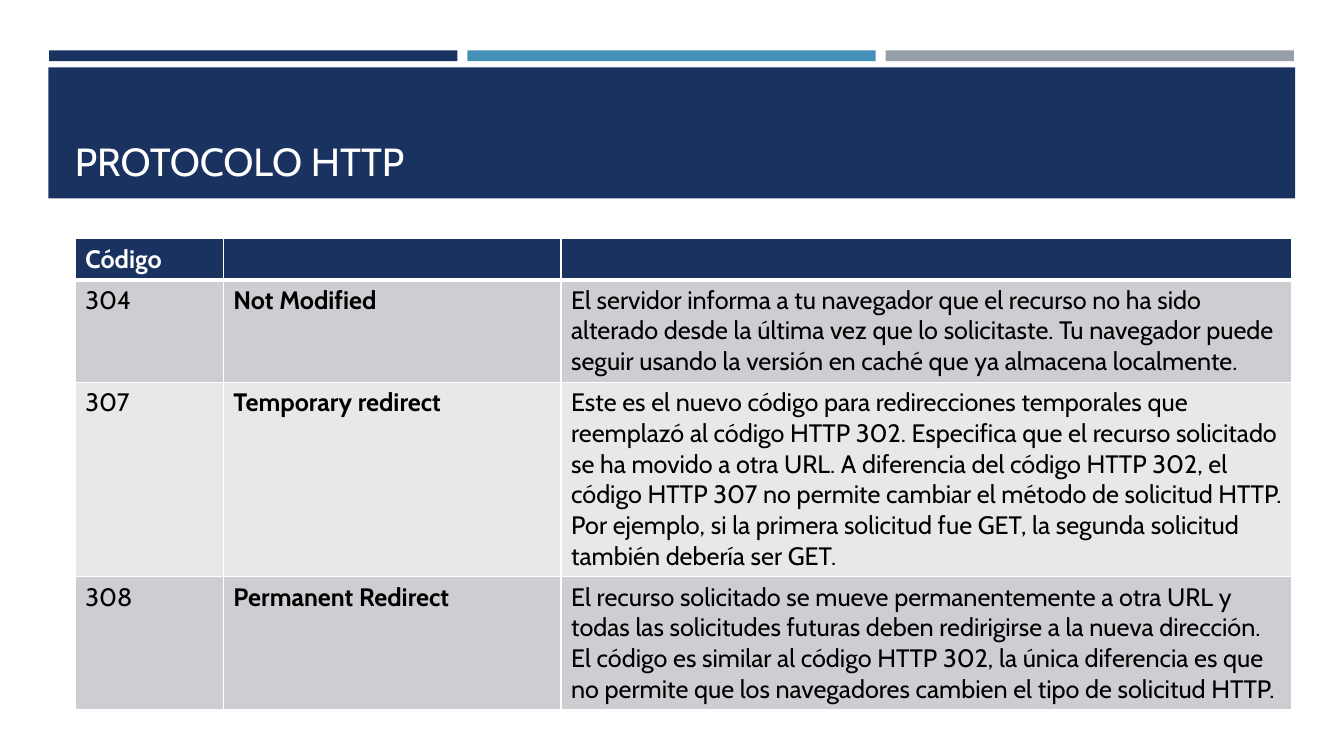
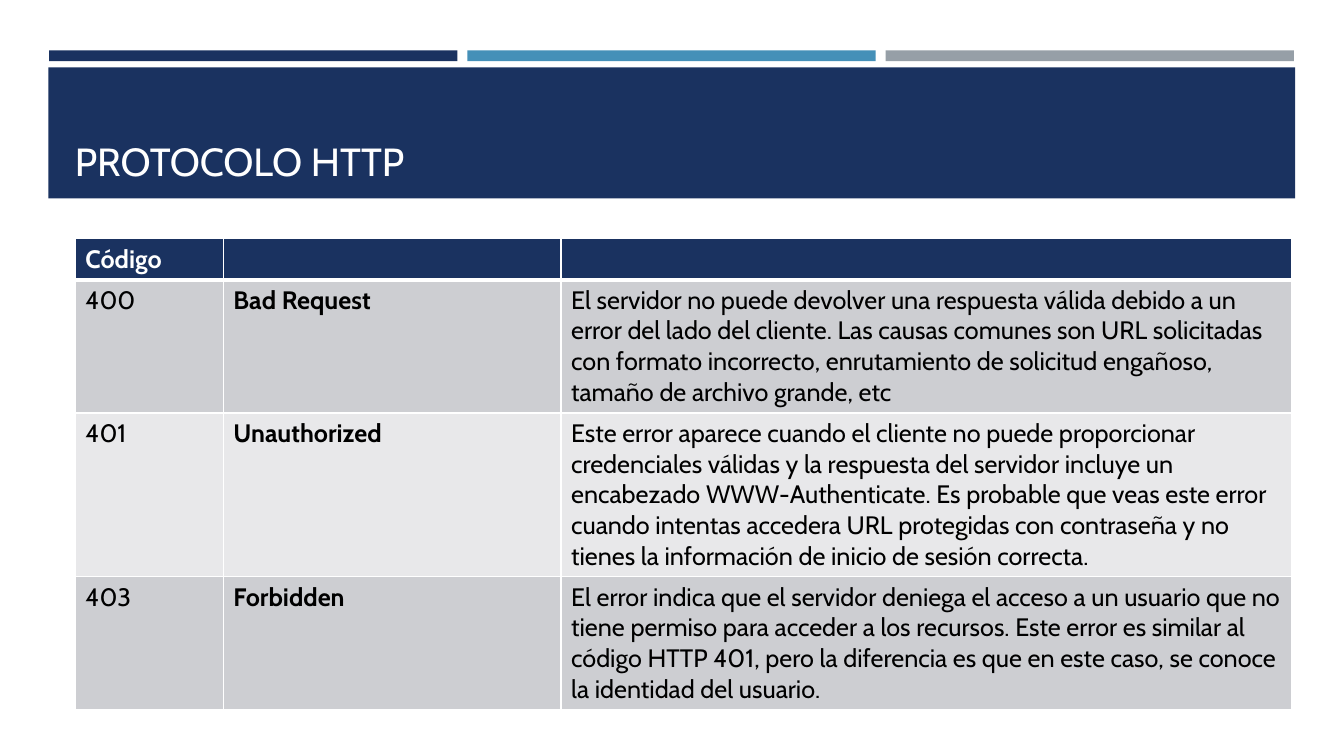
from lxml import etree
from pptx import Presentation
from pptx.dml.color import RGBColor
from pptx.enum import shapes, text
from pptx.oxml import ns
from pptx.util import Cm, Pt

TITLE = "PROTOCOLO HTTP"
HEADER = ("Código", "", "")
SLIDES = [
    [
        ("304", "Not Modified",
         "El servidor informa a tu navegador que el recurso no ha sido alterado desde la "
         "última vez que lo solicitaste. Tu navegador puede seguir usando la versión en "
         "caché que ya almacena localmente."),
        ("307", "Temporary redirect",
         "Este es el nuevo código para redirecciones temporales que reemplazó al código "
         "HTTP 302. Especifica que el recurso solicitado se ha movido a otra URL. A "
         "diferencia del código HTTP 302, el código HTTP 307 no permite cambiar el método "
         "de solicitud HTTP. Por ejemplo, si la primera solicitud fue GET, la segunda "
         "solicitud también debería ser GET."),
        ("308", "Permanent Redirect",
         "El recurso solicitado se mueve permanentemente a otra URL y todas las solicitudes "
         "futuras deben redirigirse a la nueva dirección. El código es similar al código "
         "HTTP 302, la única diferencia es que no permite que los navegadores cambien el "
         "tipo de solicitud HTTP."),
    ],
    [
        ("400", "Bad Request",
         "El servidor no puede devolver una respuesta válida debido a un error del lado del "
         "cliente. Las causas comunes son URL solicitadas con formato incorrecto, "
         "enrutamiento de solicitud engañoso, tamaño de archivo grande, etc"),
        ("401", "Unauthorized",
         "Este error aparece cuando el cliente no puede proporcionar credenciales válidas y "
         "la respuesta del servidor incluye un encabezado WWW-Authenticate. Es probable que "
         "veas este error cuando intentas accedera URL protegidas con contraseña y no "
         "tienes la información de inicio de sesión correcta."),
        ("403", "Forbidden",
         "El error indica que el servidor deniega el acceso a un usuario que no tiene "
         "permiso para acceder a los recursos. Este error es similar al código HTTP 401, "
         "pero la diferencia es que en este caso, se conoce la identidad del usuario."),
    ],
]

NAVY = RGBColor(0x1A, 0x32, 0x60)
BLUE = RGBColor(0x45, 0x90, 0xB8)
GREY = RGBColor(0x96, 0x9F, 0xA7)
DARK_ROW = RGBColor(0xCD, 0xCE, 0xD2)
LIGHT_ROW = RGBColor(0xE8, 0xE8, 0xEA)
WHITE = RGBColor(0xFF, 0xFF, 0xFF)
BLACK = RGBColor(0, 0, 0)

FONT = "Cabin"
STRIPE_W, STRIPE_PITCH = 10.29, 10.54
BANDS = [(1.24 + i * STRIPE_PITCH, 1.27, STRIPE_W, 0.27, color)
         for i, color in enumerate((NAVY, BLUE, GREY))]
BANDS.append((1.22, 1.7, 31.42, 3.3, NAVY))
TITLE_BOX = dict(left=Cm(1.63), top=Cm(1.96), width=Cm(30.63), height=Cm(2.82))
TITLE_FRAME = dict(vertical_anchor=text.MSO_ANCHOR.BOTTOM, word_wrap=True,
                   auto_size=text.MSO_AUTO_SIZE.NONE)
TABLE_BOX = (Cm(1.9), Cm(6.02), Cm(30.66), Cm(11.71))
COL_WIDTHS = (3.73, 8.51, 18.42)
ROW_HEIGHT = Cm(1.03)


def set_attrs(obj, values):
    for name, value in values.items():
        setattr(obj, name, value)


def write(tf, content, size, color, bold=False):
    p = tf.paragraphs[0]
    p.alignment = text.PP_ALIGN.LEFT
    r = p.add_run()
    r.text = content
    set_attrs(r.font, dict(name=FONT, size=Pt(size), bold=bold))
    r.font.color.rgb = color


def build_layout(layout, s):
    for i, (x, y, w, h, color) in enumerate(BANDS):
        sp = s.shapes.add_shape(shapes.MSO_SHAPE.RECTANGLE, Cm(x), Cm(y), Cm(w), Cm(h))
        sp.shadow.inherit = False
        sp.fill.solid()
        sp.fill.fore_color.rgb = color
        sp.line.fill.background()
        layout.shapes.element.insert(2 + i, sp.element)
    set_attrs(layout.placeholders[0], TITLE_BOX)


def set_borders(cell, **widths):
    tc_pr = cell._tc.get_or_add_tcPr()
    for side in "LRTB":
        ln = etree.SubElement(tc_pr, ns.qn("a:ln" + side), w=str(Pt(widths.get(side, 1))))
        fill = etree.SubElement(ln, ns.qn("a:solidFill"))
        etree.SubElement(fill, ns.qn("a:srgbClr"), val=str(WHITE))


def add_codes(s, rows):
    data = [HEADER, *rows]
    frame = s.shapes.add_table(len(data), len(HEADER), *TABLE_BOX)
    table = frame.table
    for column, width in zip(table.columns, COL_WIDTHS):
        column.width = Cm(width)
    for i, values in enumerate(data):
        table.rows[i].height = ROW_HEIGHT
        fill = NAVY if i == 0 else DARK_ROW if i % 2 else LIGHT_ROW
        for j, value in enumerate(values):
            cell = table.cell(i, j)
            set_borders(cell, T=3 if i == 1 else 1, B=3 if i == 0 else 1)
            cell.fill.solid()
            cell.fill.fore_color.rgb = fill
            if value:
                write(cell.text_frame, value, 18, BLACK if i else WHITE, i == 0 or j == 1)
    frame.height = TABLE_BOX[3]


def main():
    prs = Presentation()
    set_attrs(prs, dict(slide_width=Cm(33.87), slide_height=Cm(19.05)))
    layout = prs.slide_layouts[5]
    for i, rows in enumerate(SLIDES):
        s = prs.slides.add_slide(layout)
        if i == 0:
            build_layout(layout, s)
        tf = s.shapes.title.text_frame
        set_attrs(tf, TITLE_FRAME)
        write(tf, TITLE, 28, WHITE)
        add_codes(s, rows)
    prs.save("out.pptx")


if __name__ == "__main__":
    main()
